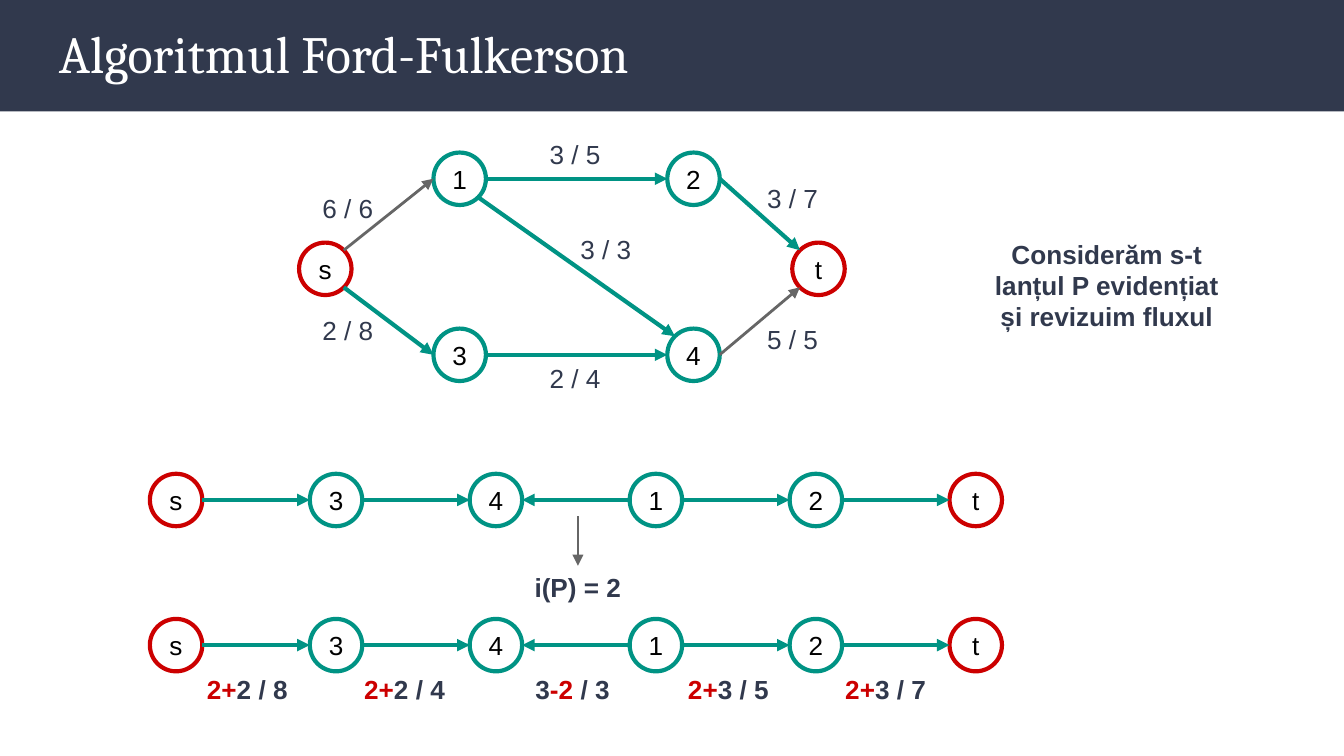
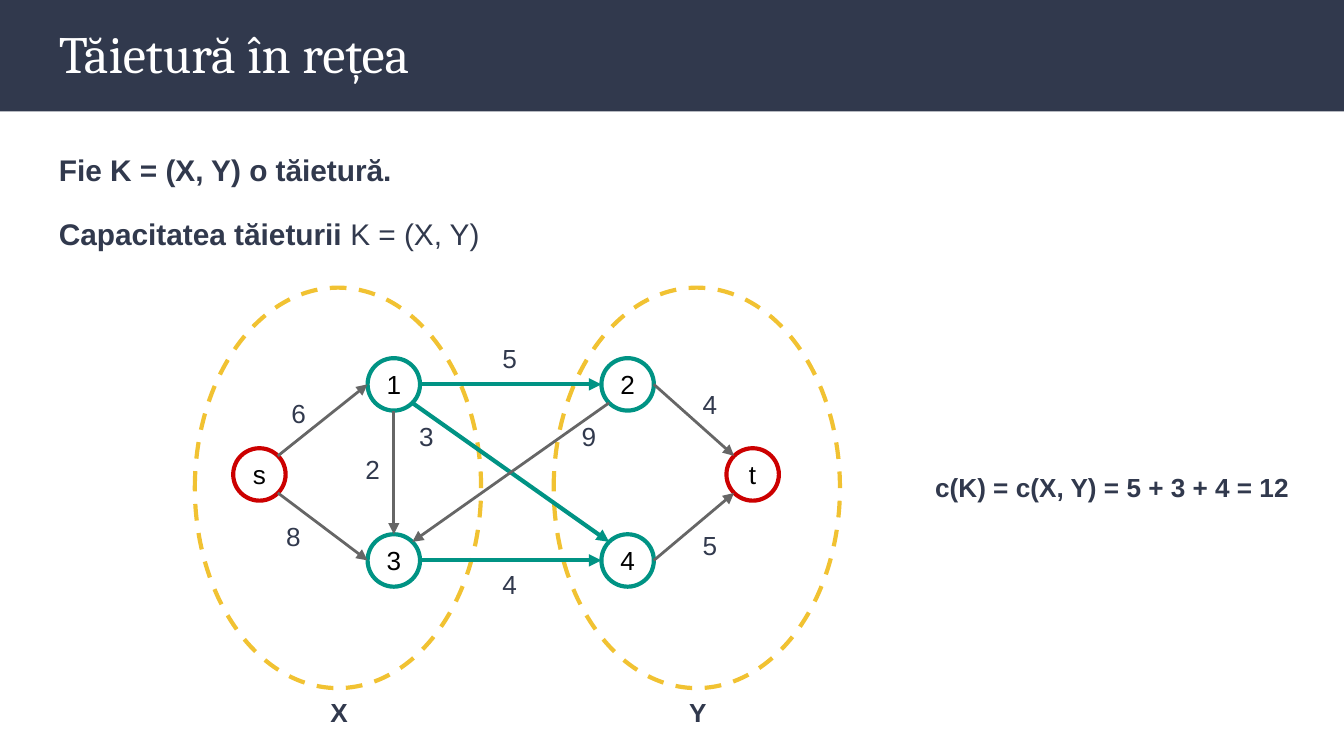
"""Builds two slides on network flows: augmenting a path and the capacity of a cut."""
from math import cos, radians, sin

from lxml.etree import SubElement
from pptx import Presentation
from pptx.dml.color import RGBColor
from pptx.enum.dml import MSO_LINE_DASH_STYLE as Dash
from pptx.enum.shapes import MSO_CONNECTOR as Link, MSO_SHAPE as Preset
from pptx.enum.text import MSO_ANCHOR as Anchor, MSO_AUTO_SIZE as Fit, PP_ALIGN as Align
from pptx.oxml.ns import qn
from pptx.util import Inches, Pt

WIDTH = 10
HEIGHT = WIDTH * 9 / 16
NAVY, TEAL, RED, GREY, GOLD = "31394D", "009384", "CC0000", "666666", "F1C232"
WHITE, BLACK = "FFFFFF", "000000"
DIAMETER, LABEL_HEIGHT = 0.39, 0.44
RADIUS = DIAMETER / 2
TOP, TOP_LEFT, LEFT, BOTTOM_LEFT, BOTTOM, BOTTOM_RIGHT, RIGHT, TOP_RIGHT = range(8)

NETWORK = {"s": (0, 0), "4": (2.74, 0.64), "3": (1, 0.64),
           "2": (2.74, -0.67), "1": (1, -0.67), "t": (3.67, 0)}
PORTS = {"s1": (TOP_RIGHT, LEFT), "12": (RIGHT, LEFT), "2t": (RIGHT, TOP_LEFT),
         "s3": (BOTTOM_RIGHT, LEFT), "34": (RIGHT, LEFT), "4t": (RIGHT, BOTTOM_LEFT),
         "14": (BOTTOM_RIGHT, TOP_LEFT), "23": (BOTTOM_LEFT, TOP_RIGHT), "13": (BOTTOM, TOP)}

FLOW = {
    "title": "Algoritmul Ford-Fulkerson",
    "source": (2.42, 2),
    "marked": ("12", "2t", "s3", "34", "14"),
    "edges": {"s1": ("6 / 6", 2.3, 1.33, 0.59), "12": ("3 / 5", 3.99, 0.93, 0.59),
              "2t": ("3 / 7", 5.61, 1.26, 0.66), "s3": ("2 / 8", 2.3, 2.24, 0.59),
              "34": ("2 / 4", 3.99, 2.6, 0.59), "4t": ("5 / 5", 5.61, 2.31, 1.03),
              "14": ("3 / 3", 4.22, 1.64, 0.64)},
}
REMARK = "Considerăm s-t lanțul P evidențiat și revizuim fluxul"
RESIDUAL = "i(P) = 2"
CHAIN = "s3412t"
CHAIN_LEFT, CHAIN_STEP, CHAIN_ROWS = 1.31, 1.19, (3.72, 4.8)
BACKWARD = "41"
REVISED = [(1.37, [("2+", RED), ("2 / 8", NAVY)]),
           (2.54, [("2+", RED), ("2 / 4", NAVY)]),
           (3.79, [("3", NAVY), ("-2", RED), (" / 3", NAVY)]),
           (4.95, [("2+", RED), ("3 / 5", NAVY)]),
           (6.12, [("2+", RED), ("3 / 7", NAVY)])]

CUT = {
    "title": "Tăietură în rețea",
    "source": (1.93, 3.53),
    "marked": ("12", "34", "14"),
    "edges": {"s1": ("6", 2.07, 2.86, 0.32), "12": ("5", 3.64, 2.45, 0.32),
              "2t": ("4", 5.13, 2.79, 0.32), "s3": ("8", 2.03, 3.77, 0.32),
              "34": ("4", 3.64, 4.13, 0.32), "4t": ("5", 5.13, 3.84, 0.32),
              "14": ("3", 3.02, 3.03, 0.32), "23": ("9", 4.23, 3.03, 0.32),
              "13": ("2", 2.62, 3.27, 0.32)},
}
DEFINITION = [[("Fie K = (X, Y) o tăietură.", True)],
              [("Capacitatea tăieturii ", True), ("K = (X, Y)", False)]]
SIDES = {"X": 1.45, "Y": 4.12}
SIDE_TOP, SIDE_WIDTH, SIDE_HEIGHT = 2.14, 2.13, 2.98
CAPACITY = "c(K) = c(X, Y) = 5 + 3 + 4 = 12"


def rgb(code):
    return RGBColor.from_string(code)


def apply(target, formats):
    for name, value in formats.items():
        setattr(target, name, value)


def add_run(paragraph, text, color=NAVY, size=14, bold=False, font="Arial"):
    run = paragraph.add_run()
    run.text = text
    apply(run.font, {"name": font, "size": Pt(size), "bold": bold})
    run.font.color.rgb = rgb(color)


def set_frame(frame, inset, **formats):
    margins = {f"margin_{side}": Inches(inset) for side in ("left", "top", "right", "bottom")}
    apply(frame, {"word_wrap": True, **margins, **formats})


def add_box(slide, left, top, width, height, fit=Fit.NONE):
    box = slide.shapes.add_textbox(*map(Inches, (left, top, width, height)))
    set_frame(box.text_frame, 0.1, auto_size=fit)
    return box.text_frame


def add_label(slide, runs, left, top, width, height=LABEL_HEIGHT, bold=False, align=Align.LEFT):
    paragraph = add_box(slide, left, top, width, height, Fit.SHAPE_TO_FIT_TEXT).paragraphs[0]
    paragraph.alignment = align
    for text, color in [(runs, NAVY)] if isinstance(runs, str) else runs:
        add_run(paragraph, text, color, bold=bold)


def add_preset(slide, preset, place, fill=None, line=None, dash=None):
    shape = slide.shapes.add_shape(preset, *map(Inches, place))
    shape.shadow.inherit = False
    if fill:
        shape.fill.solid()
        shape.fill.fore_color.rgb = rgb(fill)
    else:
        shape.fill.background()
    if line:
        shape.line.color.rgb = rgb(line)
        apply(shape.line, {"width": Pt(2.25), "dash_style": dash})
    else:
        shape.line.fill.background()
    return shape


def add_node(slide, name, x, y):
    place = (x - RADIUS, y - RADIUS, DIAMETER, DIAMETER)
    node = add_preset(slide, Preset.OVAL, place, line=RED if name in "st" else TEAL)
    set_frame(node.text_frame, 0.02, vertical_anchor=Anchor.MIDDLE)
    paragraph = node.text_frame.paragraphs[0]
    paragraph.alignment = Align.CENTER
    add_run(paragraph, name, BLACK)
    return node


def add_arrow(slide, start, end, color, width):
    arrow = slide.shapes.add_connector(Link.STRAIGHT, *map(Inches, (*start, *end)))
    arrow.line.color.rgb = rgb(color)
    arrow.line.width = Pt(width)
    outline = arrow.element.spPr
    SubElement(outline.find(qn("a:ln")), qn("a:tailEnd"), type="triangle")
    SubElement(outline, qn("a:effectLst"))
    return arrow


def port_point(node, port):
    angle = radians(90 + 45 * port)
    return (node.left.inches + RADIUS * (1 + cos(angle)),
            node.top.inches + RADIUS * (1 - sin(angle)))


def join(slide, start, end, ports, marked=True):
    points = [port_point(node, port) for node, port in zip((start, end), ports)]
    arrow = add_arrow(slide, *points, *((TEAL, 2.25) if marked else (GREY, 1.5)))
    glue = arrow.element.find(".//" + qn("p:cNvCxnSpPr"))
    for tag, node, port in zip(("a:stCxn", "a:endCxn"), (start, end), ports):
        SubElement(glue, qn(tag), id=str(node.shape_id), idx=str(port))


def add_network(slide, graph):
    x, y = graph["source"]
    nodes = {name: add_node(slide, name, x + dx, y + dy) for name, (dx, dy) in NETWORK.items()}
    for edge, label in graph["edges"].items():
        start, end = (nodes[name] for name in edge)
        join(slide, start, end, PORTS[edge], edge in graph["marked"])
        add_label(slide, *label)


def add_chain(slide, y):
    nodes = [add_node(slide, name, CHAIN_LEFT + CHAIN_STEP * column, y)
             for column, name in enumerate(CHAIN)]
    for column, (start, end) in enumerate(zip(nodes, nodes[1:])):
        if CHAIN[column:column + 2] == BACKWARD:
            join(slide, end, start, (LEFT, RIGHT))
        else:
            join(slide, start, end, (RIGHT, LEFT))


def add_slide(deck, title):
    slide = deck.slides.add_slide(deck.slide_layouts[6])
    add_preset(slide, Preset.RECTANGLE, (0, 0, WIDTH, 0.83), fill=NAVY)
    heading = add_box(slide, 0.34, 0.06, 9.32, 0.68)
    add_run(heading.paragraphs[0], title, WHITE, 28, font="Cambria")
    return slide


def build_flow(deck):
    slide = add_slide(deck, FLOW["title"])
    add_network(slide, FLOW)
    for y in CHAIN_ROWS:
        add_chain(slide, y)
    add_arrow(slide, (4.3, 3.84), (4.3, 4.21), GREY, 0.75)
    add_label(slide, RESIDUAL, 3.83, 4.15, 0.94, bold=True, align=Align.CENTER)
    add_label(slide, REMARK, 7.24, 1.67, 1.99, 0.91, bold=True, align=Align.CENTER)
    for left, runs in REVISED:
        add_label(slide, runs, left, 4.91, 0.94, bold=True, align=Align.CENTER)


def build_cut(deck):
    slide = add_slide(deck, CUT["title"])
    body = add_box(slide, 0.34, 0.99, 9.4, 4.11)
    for row, runs in enumerate(DEFINITION):
        paragraph = body.add_paragraph() if row else body.paragraphs[0]
        paragraph.line_spacing = 1.15
        if row:
            apply(paragraph, {"space_before": Pt(12), "space_after": Pt(12)})
        for text, bold in runs:
            add_run(paragraph, text, size=16, bold=bold)
    for name, left in SIDES.items():
        place = (left, SIDE_TOP, SIDE_WIDTH, SIDE_HEIGHT)
        add_preset(slide, Preset.OVAL, place, line=GOLD, dash=Dash.DASH)
        add_label(slide, name, left + 0.91, 5.08, 0.32, bold=True)
    add_network(slide, CUT)
    add_label(slide, CAPACITY, 6.86, 3.41, 2.97, bold=True)


def main():
    deck = Presentation()
    apply(deck, {"slide_width": Inches(WIDTH), "slide_height": Inches(HEIGHT)})
    build_flow(deck)
    build_cut(deck)
    deck.save("out.pptx")


if __name__ == "__main__":
    main()
